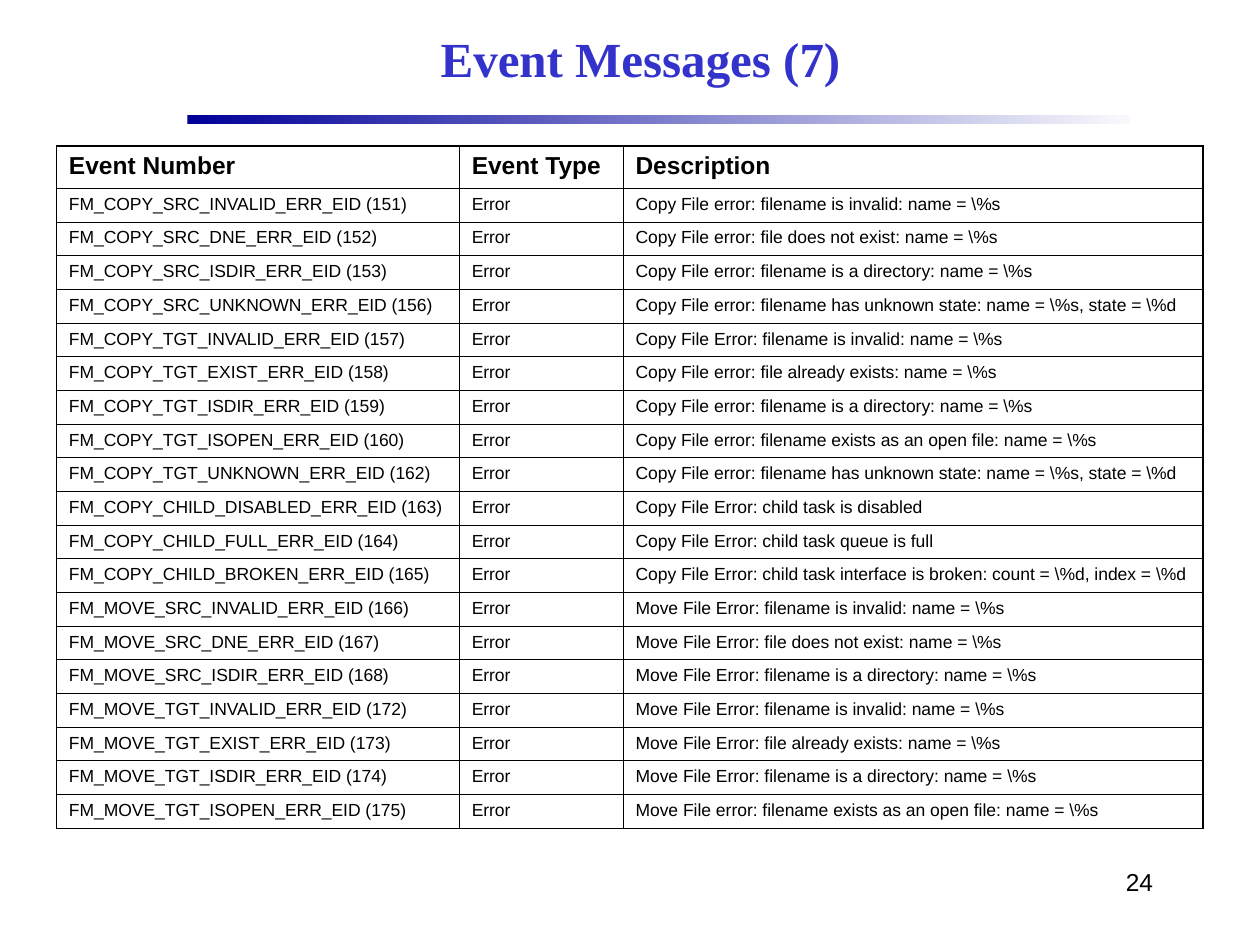
"""Build the event message table slide."""
from lxml.etree import SubElement as Sub
from pptx import Presentation
from pptx.dml.color import RGBColor as Rgb
from pptx.enum.shapes import MSO_SHAPE as Shape
from pptx.enum.text import MSO_ANCHOR as Anchor, PP_ALIGN as Align
from pptx.oxml.ns import qn
from pptx.util import Pt

TITLE = "Event Messages (7)"
PAGE = "24"
HEAD = ("Event Number", "Event Type", "Description")
KIND = "Error"
EVENTS = [
    ("FM_COPY_SRC_INVALID_ERR_EID (151)", r"Copy File error: filename is invalid: name = \%s"),
    ("FM_COPY_SRC_DNE_ERR_EID (152)", r"Copy File error: file does not exist: name = \%s"),
    ("FM_COPY_SRC_ISDIR_ERR_EID (153)", r"Copy File error: filename is a directory: name = \%s"),
    ("FM_COPY_SRC_UNKNOWN_ERR_EID (156)",
     r"Copy File error: filename has unknown state: name = \%s, state = \%d"),
    ("FM_COPY_TGT_INVALID_ERR_EID (157)", r"Copy File Error: filename is invalid: name = \%s"),
    ("FM_COPY_TGT_EXIST_ERR_EID (158)", r"Copy File error: file already exists: name = \%s"),
    ("FM_COPY_TGT_ISDIR_ERR_EID (159)", r"Copy File error: filename is a directory: name = \%s"),
    ("FM_COPY_TGT_ISOPEN_ERR_EID (160)",
     r"Copy File error: filename exists as an open file: name = \%s"),
    ("FM_COPY_TGT_UNKNOWN_ERR_EID (162)",
     r"Copy File error: filename has unknown state: name = \%s, state = \%d"),
    ("FM_COPY_CHILD_DISABLED_ERR_EID (163)", "Copy File Error: child task is disabled"),
    ("FM_COPY_CHILD_FULL_ERR_EID (164)", "Copy File Error: child task queue is full"),
    ("FM_COPY_CHILD_BROKEN_ERR_EID (165)",
     r"Copy File Error: child task interface is broken: count = \%d, index = \%d"),
    ("FM_MOVE_SRC_INVALID_ERR_EID (166)", r"Move File Error: filename is invalid: name = \%s"),
    ("FM_MOVE_SRC_DNE_ERR_EID (167)", r"Move File Error: file does not exist: name = \%s"),
    ("FM_MOVE_SRC_ISDIR_ERR_EID (168)", r"Move File Error: filename is a directory: name = \%s"),
    ("FM_MOVE_TGT_INVALID_ERR_EID (172)", r"Move File Error: filename is invalid: name = \%s"),
    ("FM_MOVE_TGT_EXIST_ERR_EID (173)", r"Move File Error: file already exists: name = \%s"),
    ("FM_MOVE_TGT_ISDIR_ERR_EID (174)", r"Move File Error: filename is a directory: name = \%s"),
    ("FM_MOVE_TGT_ISOPEN_ERR_EID (175)",
     r"Move File error: filename exists as an open file: name = \%s"),
]
ROWS = [HEAD] + [(name, KIND, note) for name, note in EVENTS]
COLS = (230.2, 93.6, 331.6)
HEAD_H, ROW_H = 24, 19.26
THICK, THIN = 1.08, 0.45
COLORS = {"title": "3333CC", "text": "000000", "start": "000099", "end": "F9F9FD"}


def color(key):
    return Rgb.from_string(COLORS[key])


def write(frame, text, size=10, bold=False, face="Arial", ink="text", align=Align.LEFT):
    frame.word_wrap = True
    para = frame.paragraphs[0]
    para.alignment = align
    run = para.add_run()
    run.text = text
    font = run.font
    font.size, font.bold, font.name = Pt(size), bold, face
    font.color.rgb = color(ink)


def edge(cell, row, col):
    props = cell._tc.get_or_add_tcPr()
    outer = {"L": col == 0, "R": col == len(COLS) - 1, "T": row == 0, "B": False}
    for side, thick in outer.items():
        line = Sub(props, qn(f"a:ln{side}"), w=str(Pt(THICK if thick else THIN)))
        fill = Sub(line, qn("a:solidFill"))
        Sub(fill, qn("a:srgbClr"), val=COLORS["text"])
    cell.fill.background()


def add_bar(slide):
    bar = slide.shapes.add_shape(Shape.RECTANGLE, Pt(107), Pt(66), Pt(539), Pt(5))
    bar.shadow.inherit = False
    bar.line.fill.background()
    bar.fill.gradient()
    bar.fill.gradient_angle = 0
    for stop, key, place in zip(bar.fill.gradient_stops, ("start", "end"), (0, 1)):
        stop.color.rgb, stop.position = color(key), place


def add_grid(slide):
    high = HEAD_H + ROW_H * len(EVENTS)
    frame = slide.shapes.add_table(
        len(ROWS), len(COLS), Pt(32.2), Pt(83.5), Pt(sum(COLS)), Pt(high))
    table = frame.table
    table.first_row = table.horz_banding = False
    for col, width in zip(table.columns, COLS):
        col.width = Pt(width)
    for r, texts in enumerate(ROWS):
        top = r == 0
        table.rows[r].height = Pt(HEAD_H if top else ROW_H)
        for c, text in enumerate(texts):
            cell = table.cell(r, c)
            edge(cell, r, c)
            write(cell.text_frame, text, size=14 if top else 10, bold=top)


def main():
    deck = Presentation()
    deck.slide_width, deck.slide_height = Pt(720), Pt(540)
    slide = deck.slides.add_slide(deck.slide_layouts[5])
    add_bar(slide)
    page = slide.shapes.add_textbox(Pt(516), Pt(492), Pt(150), Pt(36))
    write(page.text_frame, PAGE, size=14, align=Align.RIGHT)
    title = slide.shapes.title
    title.left, title.top, title.width, title.height = Pt(108), Pt(6), Pt(516), Pt(54)
    title.text_frame.vertical_anchor = Anchor.MIDDLE
    write(title.text_frame, TITLE, size=28, bold=True, face="Times New Roman",
          ink="title", align=Align.CENTER)
    add_grid(slide)
    deck.save("out.pptx")


if __name__ == "__main__":
    main()
